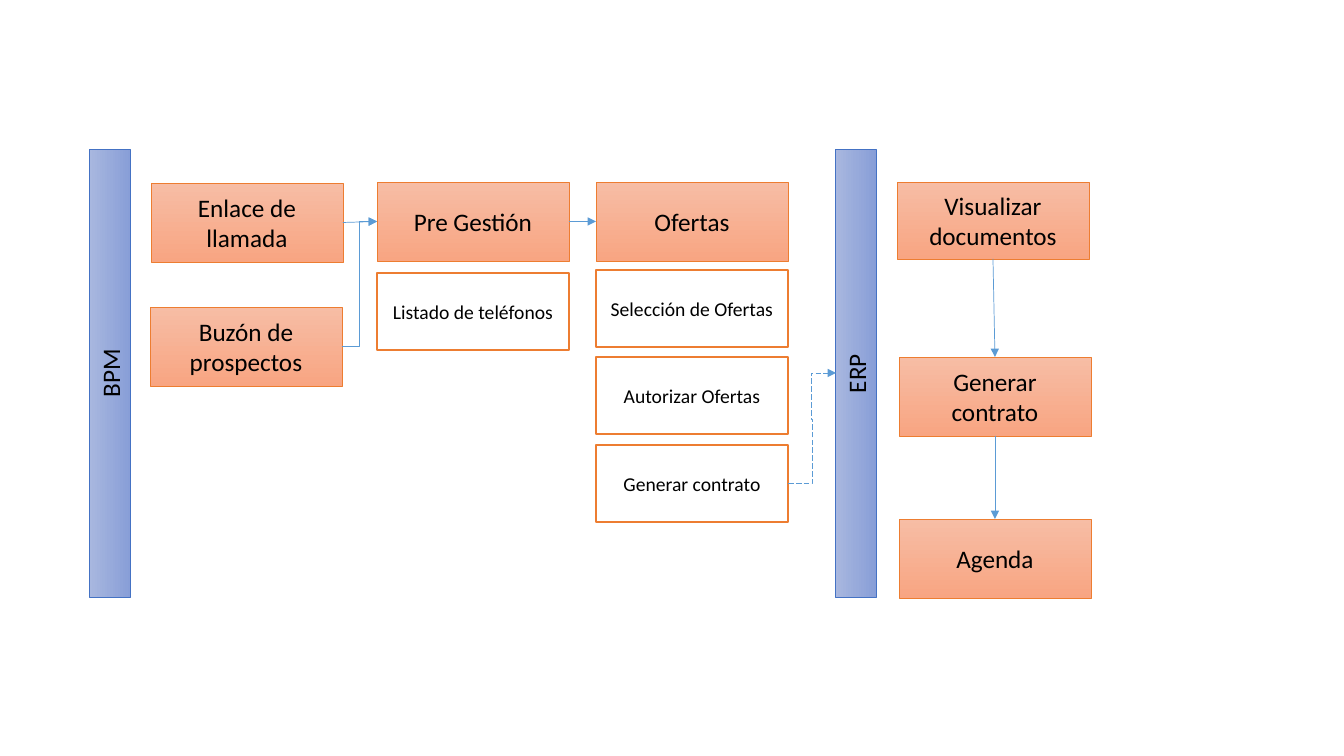
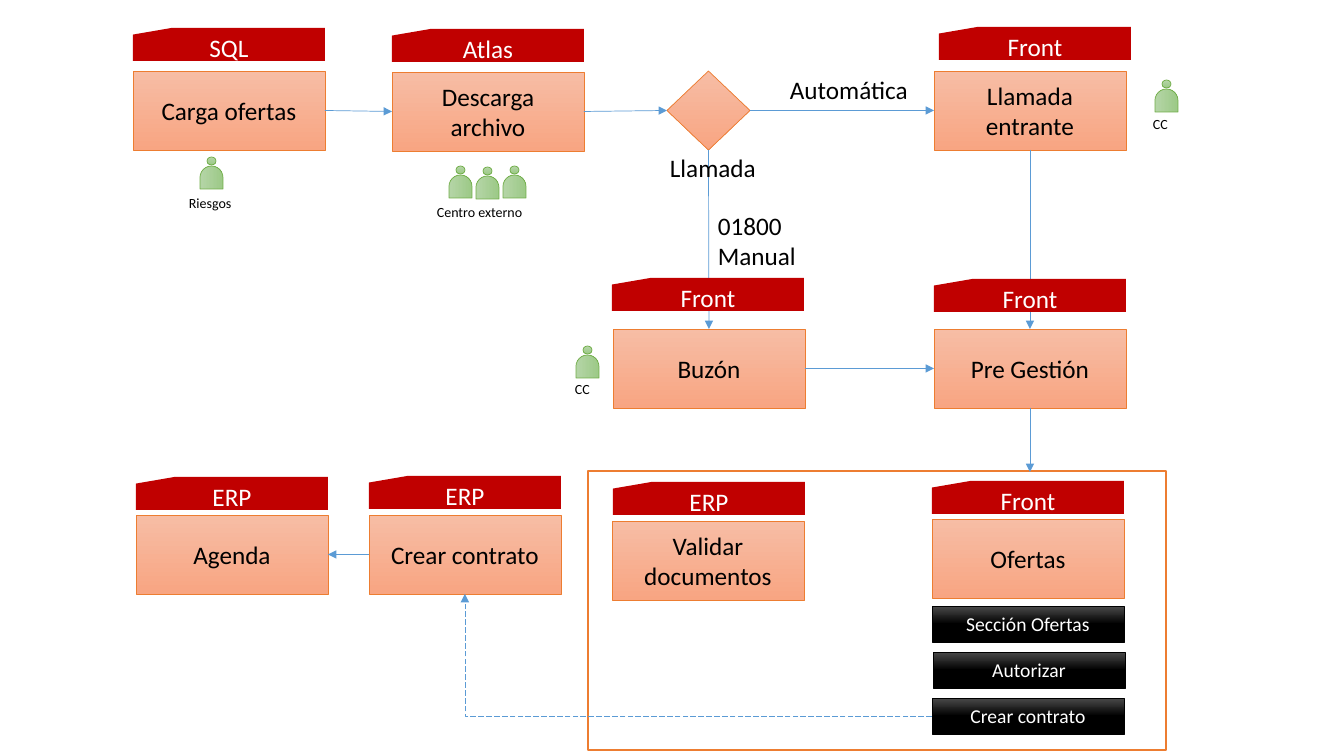
"""Builds two process-flow slides: the system overview and the detailed call flow."""
from lxml import etree
from pptx import Presentation
from pptx.dml.color import RGBColor as RGB
from pptx.enum.dml import MSO_LINE
from pptx.enum.shapes import MSO_CONNECTOR as CXN, MSO_SHAPE as SHP
from pptx.enum.text import PP_ALIGN
from pptx.oxml.ns import qn
from pptx.util import Pt

PX = 914400 / 100.8
FONT = "Calibri"
C = {
    "black": "000000", "white": "FFFFFF", "red": "C00000", "arrow": "5B9BD5",
    "orange": "ED7D31", "peach": "F7BDA5", "salmon": "F8A582",
    "blue": "4472C4", "sky": "A8B7DF", "periwinkle": "889ED7",
    "green": "70AD47", "mint": "B5D5A7", "leaf": "9CC987", "charcoal": "4B4B4B",
}
# style: shape, fill colours, line colour, line width, text size, text colour
STYLES = {
    "step": (SHP.RECTANGLE, ["peach", "salmon"], "orange", 0.5, 18, "black"),
    "choice": (SHP.FLOWCHART_DECISION, ["peach", "salmon"], "orange", 0.5, 18, "black"),
    "detail": (SHP.RECTANGLE, ["white"], "orange", 1, 14, "black"),
    "dark": (SHP.RECTANGLE, ["charcoal", "black"], "black", 0.5, 14, "white"),
    "bar": (SHP.RECTANGLE, ["sky", "periwinkle"], "blue", 0.5, 18, "black"),
    "card": (SHP.FLOWCHART_CARD, ["red"], None, 0, 18, "white"),
    "frame": (SHP.RECTANGLE, [], "orange", 1, 18, "black"),
    "head": (SHP.FLOWCHART_CONNECTOR, ["mint", "leaf"], "green", 0.5, 10, "black"),
    "body": (SHP.FLOWCHART_DELAY, ["mint", "leaf"], "green", 0.5, 10, "black"),
    "label": (None, [], None, 0, 18, "black"),
    "role": (None, [], None, 0, 10, "black"),
}
TOP, LEFT, BOTTOM, RIGHT = range(4)


def box(s, style, x, y, w, h, text="", rotation=0):
    shape, fills, line, width, size, color = STYLES[style]
    at = [round(v * PX) for v in (x, y, w, h)]
    if shape is None:
        sp = s.shapes.add_textbox(*at)
        sp.text_frame.word_wrap = False
    else:
        sp = s.shapes.add_shape(shape, *at)
        sp.shadow.inherit = False
        sp.rotation = rotation
        if len(fills) == 2:
            sp.fill.gradient()
            sp.fill.gradient_angle = 270
            stops = sp.fill.gradient_stops
            for stop, name in zip(stops, fills):
                stop.color.rgb = RGB.from_string(C[name])
            stops[0].position = 0
            stops[1].position = 0.5 if style == "dark" else 1
        elif fills:
            sp.fill.solid()
            sp.fill.fore_color.rgb = RGB.from_string(C[fills[0]])
        else:
            sp.fill.background()
        if line:
            sp.line.color.rgb = RGB.from_string(C[line])
            sp.line.width = Pt(width)
        else:
            sp.line.fill.background()
    if text:
        sp.text_frame.text = text
        for p in sp.text_frame.paragraphs:
            p.alignment = PP_ALIGN.CENTER if shape else PP_ALIGN.LEFT
            for r in p.runs:
                r.font.name, r.font.size = FONT, Pt(size)
                r.font.color.rgb = RGB.from_string(C[color])
    return sp


def link(s, a, side_a, b, side_b=None, end=None, bend=None, adjust=(), dash=False):
    c = s.shapes.add_connector(CXN.ELBOW if bend else CXN.STRAIGHT, 0, 0, 0, 0)
    c.begin_connect(a, side_a)
    if b is not None:
        c.end_connect(b, side_b)
    if end:
        c.end_x, c.end_y = (round(v * PX) for v in end)
    c.line.color.rgb = RGB.from_string(C["arrow"])
    c.line.width = Pt(0.5)
    if dash:
        c.line.dash_style = MSO_LINE.LONG_DASH
    etree.SubElement(c.line._get_or_add_ln(), qn("a:tailEnd"), type="triangle")
    spPr = c._element.spPr
    etree.SubElement(spPr, qn("a:effectLst"))
    if bend:
        geom = spPr.find(qn("a:prstGeom"))
        geom.set("prst", bend)
        av = geom.find(qn("a:avLst"))
        for i, value in enumerate(adjust, 1):
            etree.SubElement(av, qn("a:gd"), name=f"adj{i}", fmla=f"val {value}")


prs = Presentation()
prs.slide_width, prs.slide_height = round(1344 * PX), round(756 * PX)
blank = prs.slide_layouts[6]
W, H, CARD_H = 192, 79, 33

s = prs.slides.add_slide(blank)
bars = [box(s, "bar", cx - 224, 353, 448, 41, text, 270)
        for cx, text in ((110, "BPM"), (856, "ERP"))]
call, inbox, pre, offers, view, contract, agenda = [
    box(s, "step", x, y, W, h, text) for x, y, h, text in (
        (151, 183, H, "Enlace de llamada"),
        (150, 307, H, "Buzón de prospectos"),
        (377, 182, H, "Pre Gestión"),
        (596, 182, H, "Ofertas"),
        (897, 182, 77, "Visualizar documentos"),
        (899, 357, H, "Generar contrato"),
        (899, 519, H, "Agenda"))]
phones, choose, approve, make = [
    box(s, "detail", x, y, W, 77, text) for x, y, text in (
        (377, 273, "Listado de teléfonos"),
        (596, 270, "Selección de Ofertas"),
        (596, 357, "Autorizar Ofertas"),
        (596, 445, "Generar contrato"))]
link(s, call, RIGHT, pre, LEFT)
link(s, inbox, RIGHT, pre, LEFT, bend="bentConnector3")
link(s, pre, RIGHT, offers, LEFT)
link(s, view, BOTTOM, contract, TOP)
link(s, contract, BOTTOM, agenda, TOP)
link(s, make, RIGHT, bars[1], TOP, end=(836, 373), bend="bentConnector5",
     adjust=(51700, 58100, 48300), dash=True)

s = prs.slides.add_slide(blank)
load, download, entry, pre, inbox, offers, check, contract, agenda = [
    box(s, "step", x, y, W, H, text) for x, y, text in (
        (133, 71, "Carga ofertas"),
        (392, 72, "Descarga archivo"),
        (934, 71, "Llamada entrante"),
        (934, 329, "Pre Gestión"),
        (613, 329, "Buzón"),
        (932, 519, "Ofertas"),
        (612, 521, "Validar documentos"),
        (369, 515, "Crear contrato"),
        (136, 515, "Agenda"))]
choice = box(s, "choice", 667, 71, 83, H)
box(s, "frame", 588, 471, 578, 279)
choose, approve, make = [
    box(s, "dark", x, y, W, 36, text) for x, y, text in (
        (932, 606, "Sección Ofertas"),
        (933, 652, "Autorizar"),
        (932, 698, "Crear contrato"))]
for a, side_a, b, side_b in (
        (load, RIGHT, download, LEFT), (download, RIGHT, choice, LEFT),
        (choice, RIGHT, entry, LEFT), (choice, BOTTOM, inbox, TOP),
        (entry, BOTTOM, pre, TOP), (inbox, RIGHT, pre, LEFT),
        (contract, LEFT, agenda, RIGHT)):
    link(s, a, side_a, b, side_b)
link(s, pre, BOTTOM, None, end=(1030, 472))
link(s, make, LEFT, contract, BOTTOM, bend="bentConnector2", dash=True)
for x, y, text in (
        (133, 28, "SQL"), (392, 29, "Atlas"), (939, 27, "Front"),
        (612, 278, "Front"), (934, 279, "Front"), (932, 481, "Front"),
        (613, 482, "ERP"), (369, 476, "ERP"), (136, 477, "ERP")):
    box(s, "card", x, y, W, CARD_H, text)
for x, y in ((200, 157), (449, 166), (476, 167), (503, 166), (1155, 80), (576, 346)):
    box(s, "head", x + 7, y, 9, 8)
    box(s, "body", x, y + 9, 23, 23, rotation=270)
for style, x, y, w, h, text in (
        ("label", 660, 147, 107, 40, "Llamada"),
        ("label", 780, 69, 139, 40, "Automática"),
        ("label", 708, 205, 99, 71, "01800\nManual"),
        ("role", 179, 190, 64, 27, "Riesgos"),
        ("role", 427, 199, 119, 27, "Centro externo"),
        ("role", 1143, 111, 35, 27, "CC"),
        ("role", 565, 376, 35, 27, "CC")):
    box(s, style, x, y, w, h, text)

prs.save("out.pptx")
